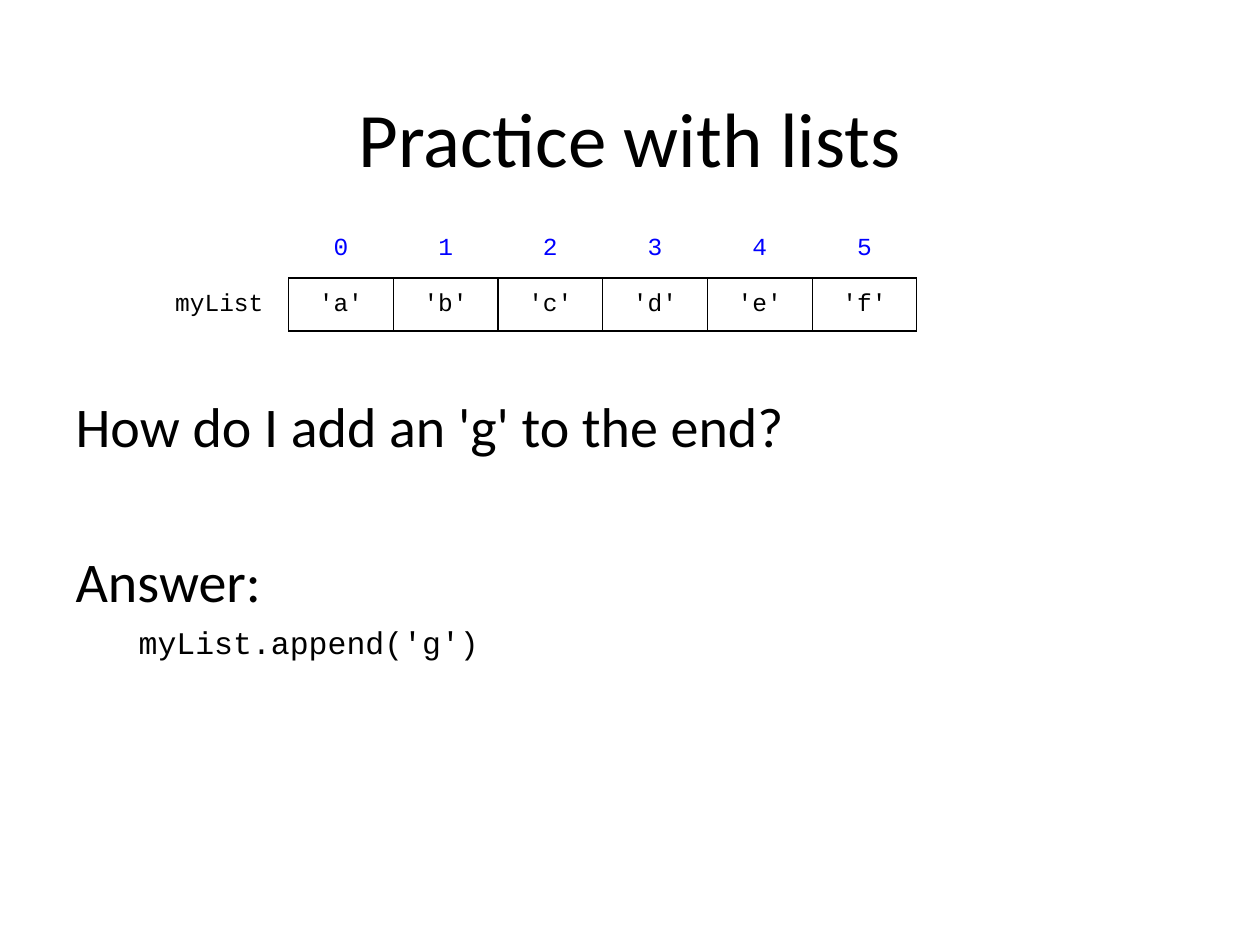
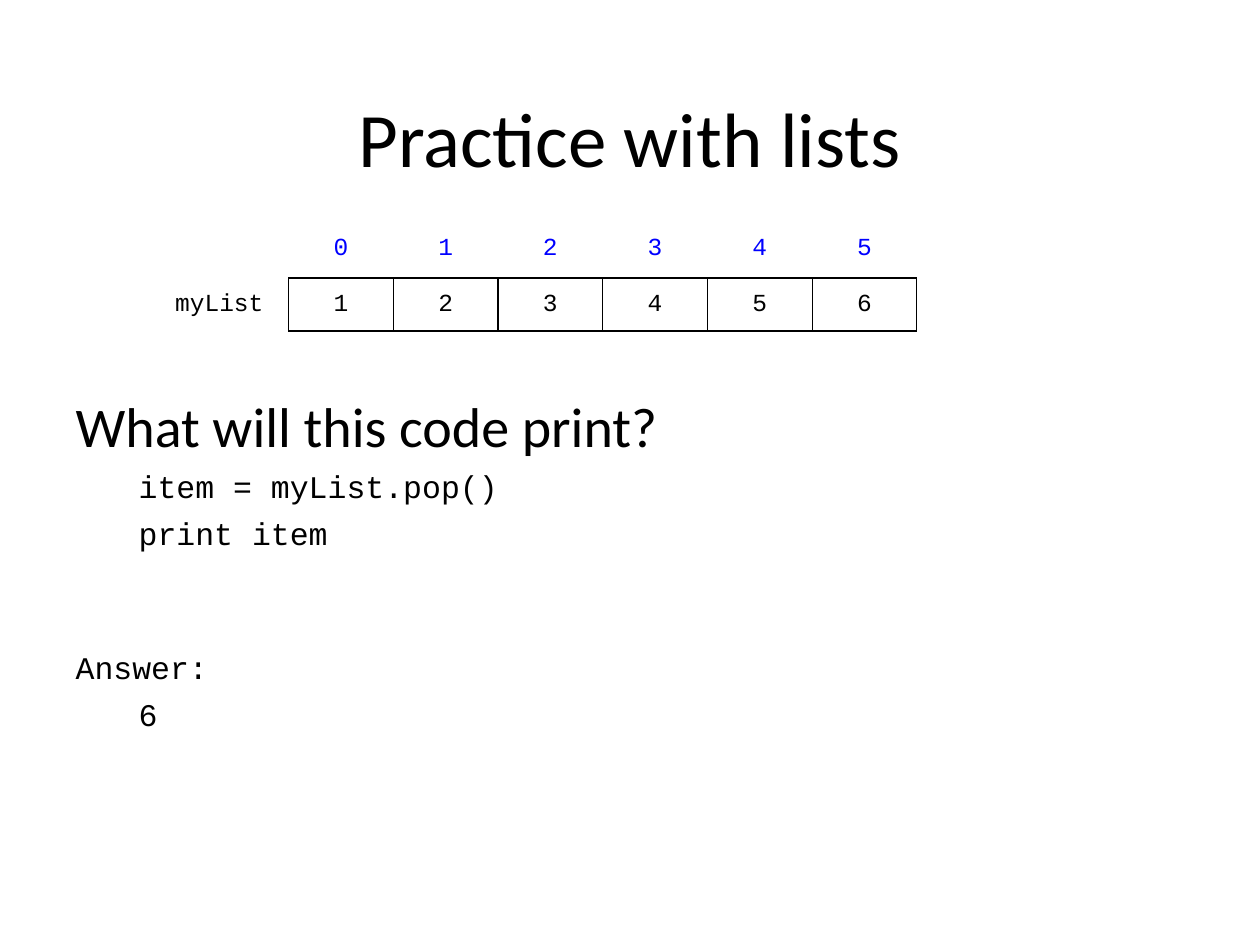
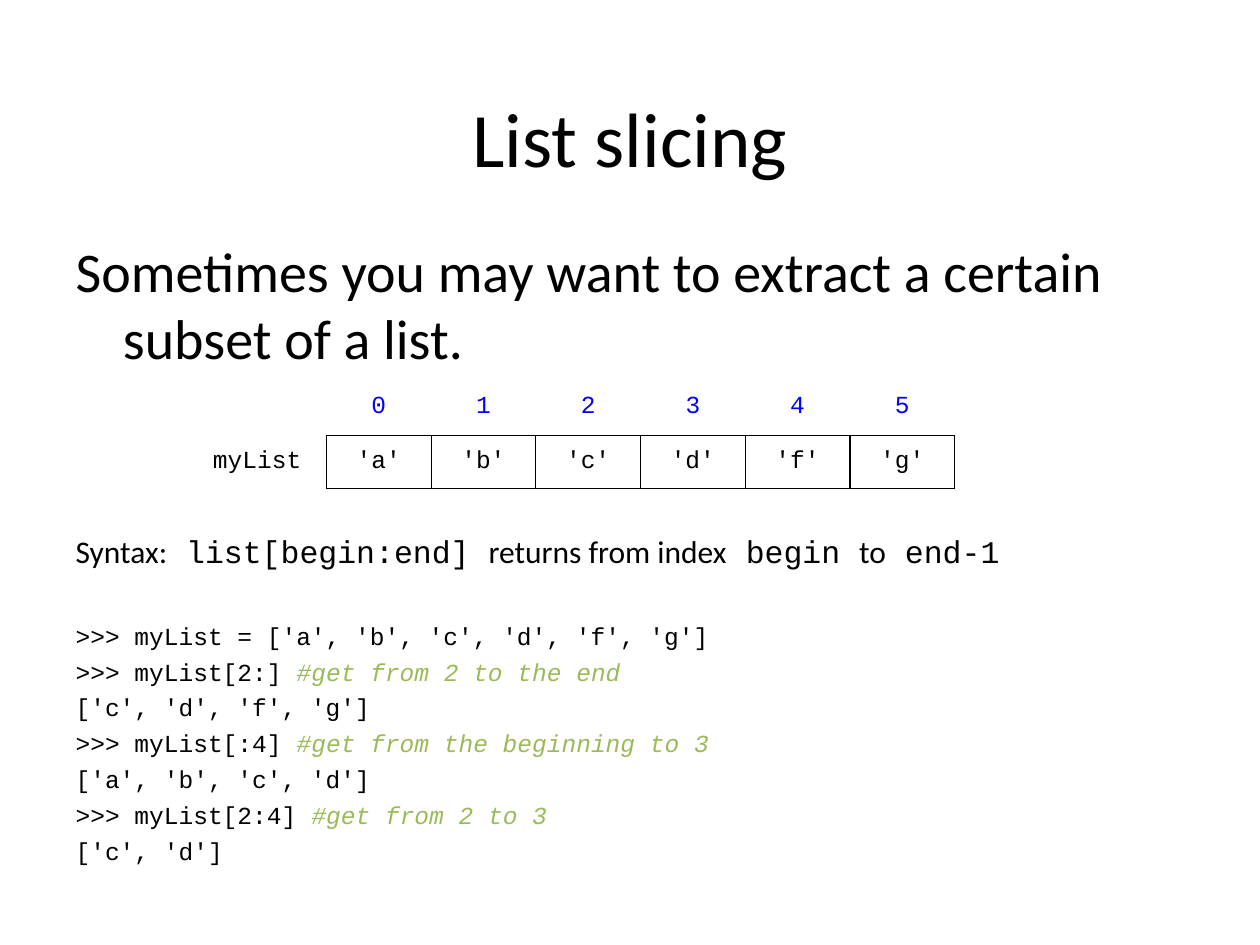
from lxml.etree import SubElement
from pptx import Presentation
from pptx.dml.color import RGBColor
from pptx.enum.text import MSO_ANCHOR as Anchor, MSO_AUTO_SIZE as AutoSize, PP_ALIGN as Align
from pptx.oxml.ns import qn
from pptx.util import Pt

SANS, MONO = "Calibri", "Courier New"
BLACK, BLUE, GREEN = "000000", "0000FF", "9BBB59"
MARGIN = 7.2
HANGING = 27
LABEL_WIDTH, CELL_WIDTH = 72, 59.85
INDEX_HEIGHT, VALUE_HEIGHT = 31.5, 30.25


def color(value):
    """Turn a hex string into a colour."""
    return RGBColor.from_string(value)


def add_text(paragraph, text, size=18, font=MONO, fill=BLACK, italic=False):
    """Append one formatted run to a paragraph."""
    run = paragraph.add_run()
    run.text = text
    run.font.size = Pt(size)
    run.font.name = font
    run.font.italic = italic
    run.font.color.rgb = color(fill)


def place(shape, left, top, width, height):
    """Set the position and size of a shape."""
    shape.left, shape.top = Pt(left), Pt(top)
    shape.width, shape.height = Pt(width), Pt(height)


def set_margins(target, margin=MARGIN):
    """Give a cell or text frame equal margins."""
    target.margin_left = target.margin_right = Pt(margin)
    target.margin_top = target.margin_bottom = Pt(margin)


def add_titled_slide(presentation, title, body_margin):
    """Add a slide with its title and return it with its body text frame."""
    slide = presentation.slides.add_slide(presentation.slide_layouts[1])
    heading, body = slide.placeholders
    place(heading, 36, 21.6, 648, 90)
    place(body, 36, 126, 648, 356.4)
    for shape in (heading, body):
        frame = shape.text_frame
        set_margins(frame)
        frame.word_wrap = True
        frame.auto_size = AutoSize.NONE
    heading.text_frame.vertical_anchor = Anchor.BOTTOM
    paragraph = heading.text_frame.paragraphs[0]
    paragraph.alignment = Align.CENTER
    add_text(paragraph, title, size=44, font=SANS)
    body.text_frame.vertical_anchor = Anchor.TOP
    body.text_frame.margin_top = Pt(body_margin)
    return slide, body.text_frame


def add_line(frame, *runs, before=5, left=HANGING, indent=-HANGING):
    """Add an unbulleted body paragraph made of (text, format) runs."""
    paragraph = frame.paragraphs[0]
    if paragraph.runs:
        paragraph = frame.add_paragraph()
    paragraph.space_before = Pt(before)
    properties = paragraph._p.get_or_add_pPr()
    properties.set("marL", str(Pt(left)))
    properties.set("indent", str(Pt(indent)))
    SubElement(properties, qn("a:buNone"))
    for text, style in runs:
        add_text(paragraph, text, **style)


def add_heading(frame, text, before=0):
    """Add a large body line."""
    add_line(frame, (text, dict(size=32, font=SANS)), before=before)


def add_code(frame, text):
    """Add an indented line of code."""
    add_line(frame, (text, {}), left=36, indent=0)


def add_borders(cell, sides):
    """Draw thin black borders on the given sides of a cell."""
    properties = cell._tc.get_or_add_tcPr()
    for side in sides:
        line = SubElement(properties, qn(f"a:ln{side}"), w=str(Pt(0.75)))
        fill = SubElement(line, qn("a:solidFill"))
        SubElement(fill, qn("a:srgbClr"), val=BLACK)


def fill_cell(cell, text, sides="", align=Align.CENTER, fill=BLACK):
    """Write and format one table cell."""
    add_borders(cell, sides)
    cell.fill.background()
    set_margins(cell, MARGIN if text else 0)
    if text:
        paragraph = cell.text_frame.paragraphs[0]
        paragraph.alignment = align
        add_text(paragraph, text, size=14, fill=fill)


def add_list_table(slide, values, left=92.9, top=127.4):
    """Draw a list as boxed values below their indices."""
    count = len(values)
    frame = slide.shapes.add_table(
        2, count + 1, Pt(left), Pt(top),
        Pt(LABEL_WIDTH + count * CELL_WIDTH), Pt(INDEX_HEIGHT + VALUE_HEIGHT))
    table = frame.table
    table.first_row = table.horz_banding = False
    table.rows[0].height, table.rows[1].height = Pt(INDEX_HEIGHT), Pt(VALUE_HEIGHT)
    table.columns[0].width = Pt(LABEL_WIDTH)
    fill_cell(table.cell(0, 0), "")
    fill_cell(table.cell(1, 0), "myList", sides="R", align=Align.LEFT)
    for index, value in enumerate(values):
        table.columns[index + 1].width = Pt(CELL_WIDTH)
        fill_cell(table.cell(0, index + 1), str(index), sides="B", fill=BLUE)
        fill_cell(table.cell(1, index + 1), value, sides="LRTB")


def quoted(letters):
    """Return each letter in single quotes."""
    return [f"'{letter}'" for letter in letters]


def add_append_slide(presentation):
    """Build the exercise on appending."""
    slide, body = add_titled_slide(presentation, "Practice with lists", 97.5)
    add_heading(body, "How do I add an 'g' to the end?")
    add_heading(body, "Answer:", before=50.6)
    add_code(body, "myList.append('g')")
    add_list_table(slide, quoted("abcdef"))


def add_pop_slide(presentation):
    """Build the exercise on popping."""
    slide, body = add_titled_slide(presentation, "Practice with lists", 97.5)
    add_heading(body, "What will this code print?")
    add_code(body, "item = myList.pop()")
    add_code(body, "print item")
    add_line(body, ("Answer:", {}), before=55.3)
    add_code(body, "6")
    add_list_table(slide, list("123456"))


def add_slicing_slide(presentation):
    """Build the explanation of slicing."""
    slide, body = add_titled_slide(presentation, "List slicing", 9)
    add_heading(body, "Sometimes you may want to extract a certain subset of a list.")
    sans = dict(font=SANS)
    add_line(body, ("Syntax:", sans), (" list[begin:end] ", {}),
             ("returns from index", sans), (" begin ", {}),
             ("to", sans), (" end-1", {}), before=92)
    session = [
        (">>> myList = ['a', 'b', 'c', 'd', 'f', 'g']", ""),
        (">>> myList[2:] ", "#get from 2 to the end"),
        ("['c', 'd', 'f', 'g']", ""),
        (">>> myList[:4] ", "#get from the beginning to 3"),
        ("['a', 'b', 'c', 'd']", ""),
        (">>> myList[2:4] ", "#get from 2 to 3"),
        ("['c', 'd']", ""),
    ]
    for number, (code, comment) in enumerate(session):
        runs = [(code, dict(size=14))]
        if comment:
            runs.append((comment, dict(size=14, fill=GREEN, italic=True)))
        add_line(body, *runs, before=3.7 if number else 29.2)
    add_list_table(slide, quoted("abcdfg"), left=114.5, top=217.6)


def main():
    """Build and save the presentation."""
    presentation = Presentation()
    presentation.slide_width, presentation.slide_height = Pt(720), Pt(540)
    add_append_slide(presentation)
    add_pop_slide(presentation)
    add_slicing_slide(presentation)
    presentation.save("out.pptx")


main()
